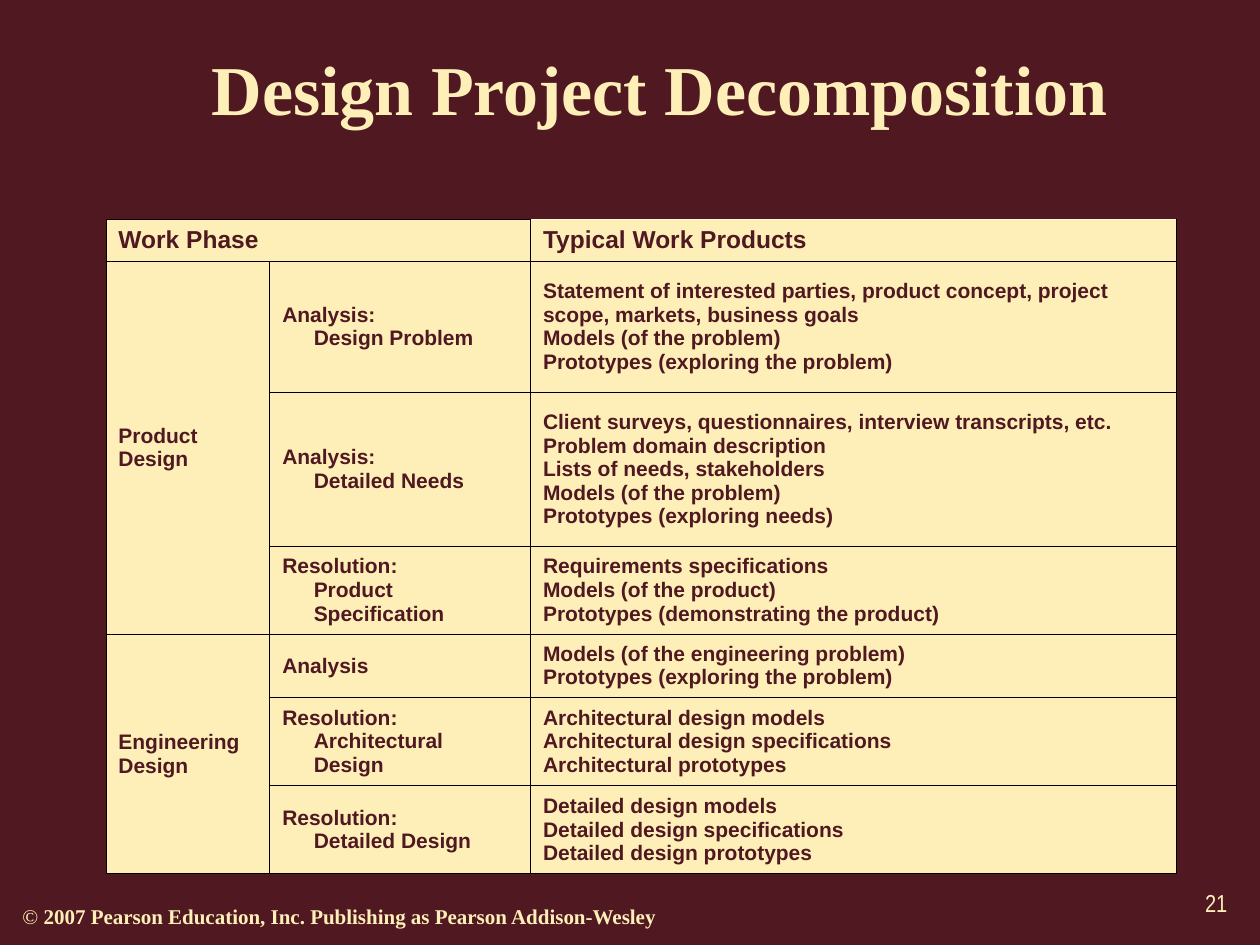
"""Build the Design Project Decomposition slide."""
from copy import deepcopy
from dataclasses import dataclass

from lxml import etree
from pptx import Presentation
from pptx.dml.color import RGBColor
from pptx.enum.text import MSO_ANCHOR, PP_ALIGN
from pptx.oxml.ns import qn
from pptx.util import Inches, Pt

LEFT, RIGHT = PP_ALIGN.LEFT, PP_ALIGN.RIGHT
MIDDLE, BOTTOM = MSO_ANCHOR.MIDDLE, MSO_ANCHOR.BOTTOM
TITLE_ONLY = 5
SIDES = ("lnL", "lnR", "lnT", "lnB")


@dataclass(frozen=True)
class Theme:
    maroon: str = "501821"
    cream: str = "FEEFB8"
    pale: str = "FEFBDA"
    black: str = "000000"
    serif: str = "Times New Roman"
    sans: str = "Arial"
    narrow: str = "Arial Narrow"
    title_size: int = 40
    header_size: int = 14
    body_size: int = 12
    number_size: int = 14
    border: float = 0.45
    indent: float = 0.25


class SlideBuilder:
    def __init__(self, presentation, theme):
        self.theme = theme
        self.slide = presentation.slides.add_slide(presentation.slide_layouts[TITLE_ONLY])
        fill = self.slide.background.fill
        fill.solid()
        fill.fore_color.rgb = RGBColor.from_string(theme.maroon)

    def place(self, shape, box):
        for name, value in zip(("left", "top", "width", "height"), box):
            setattr(shape, name, Inches(value))

    def add_lines(self, paragraph, text, name, size, color, bold=True):
        values = {"name": name, "size": Pt(size), "bold": bold}
        for index, line in enumerate(text.split("\n")):
            if index:
                paragraph.add_line_break()
            run = paragraph.add_run()
            run.text = line
            for key, value in values.items():
                setattr(run.font, key, value)
            run.font.color.rgb = RGBColor.from_string(color)
        for line_break in paragraph._p.findall(qn("a:br")):
            line_break.append(deepcopy(run._r.get_or_add_rPr()))

    def frame(self, shape, align):
        frame = shape.text_frame
        values = {"word_wrap": True, "vertical_anchor": BOTTOM,
                  "margin_left": Inches(0.1), "margin_right": Inches(0.1),
                  "margin_top": Inches(0.05), "margin_bottom": Inches(0.05)}
        for key, value in values.items():
            setattr(frame, key, value)
        paragraph = frame.paragraphs[0]
        paragraph.alignment = align
        return paragraph

    def title(self, box, text):
        shape = self.slide.shapes.title
        self.place(shape, box)
        theme = self.theme
        self.add_lines(self.frame(shape, LEFT), text, theme.serif, theme.title_size, theme.cream)

    def text(self, box, runs, name, size, align=LEFT):
        shape = self.slide.shapes.add_textbox(*map(Inches, box))
        paragraph = self.frame(shape, align)
        for text, bold in runs:
            self.add_lines(paragraph, text, name, size, self.theme.cream, bold)

    def border(self, cell, colors):
        properties = cell._tc.get_or_add_tcPr()
        for index, (side, color) in enumerate(zip(SIDES, colors)):
            line = etree.Element(qn(f"a:{side}"), w=str(Pt(self.theme.border)))
            fill = etree.SubElement(line, qn("a:solidFill"))
            etree.SubElement(fill, qn("a:srgbClr"), val=color)
            properties.insert(index, line)

    def cell(self, cell, text, size, hanging, top):
        theme = self.theme
        cell.fill.solid()
        cell.fill.fore_color.rgb = RGBColor.from_string(theme.cream)
        self.border(cell, (theme.black, theme.black, top, theme.black))
        cell.vertical_anchor = MIDDLE
        if text:
            paragraph = cell.text_frame.paragraphs[0]
            if hanging:
                indent = Inches(theme.indent)
                properties = paragraph._p.get_or_add_pPr()
                properties.set("marL", str(indent))
                properties.set("indent", str(-indent))
            self.add_lines(paragraph, text, theme.sans, size, theme.maroon)

    def table(self, box, widths, heights, rows, merges):
        theme = self.theme
        shape = self.slide.shapes.add_table(len(rows), len(widths), *map(Inches, box))
        table = shape.table
        table.first_row = table.horz_banding = False
        for column, width in zip(table.columns, widths):
            column.width = Inches(width)
        for row, height in zip(table.rows, heights):
            row.height = Inches(height)
        for row, texts in enumerate(rows):
            header = row == 0
            size = theme.header_size if header else theme.body_size
            for column, text in enumerate(texts):
                top = theme.pale if header and column == 2 else theme.black
                self.cell(table.cell(row, column), text, size, header or column == 1, top)
        for start, end in merges:
            table.cell(*start).merge(table.cell(*end))


ROWS = [
    ("Work Phase", "", "Typical Work Products"),
    ("Product Design", "Analysis:\nDesign Problem",
     "Statement of interested parties, product concept, project scope, markets, business goals\n"
     "Models (of the problem)\nPrototypes (exploring the problem)"),
    ("", "Analysis:\nDetailed Needs",
     "Client surveys, questionnaires, interview transcripts, etc.\nProblem domain description\n"
     "Lists of needs, stakeholders\nModels (of the problem)\nPrototypes (exploring needs)"),
    ("", "Resolution:\nProduct Speciﬁcation",
     "Requirements speciﬁcations\nModels (of the product)\n"
     "Prototypes (demonstrating the product)"),
    ("Engineering Design", "Analysis",
     "Models (of the engineering problem)\nPrototypes (exploring the problem)"),
    ("", "Resolution: Architectural Design",
     "Architectural design models\nArchitectural design speciﬁcations\nArchitectural prototypes"),
    ("", "Resolution:\nDetailed Design",
     "Detailed design models\nDetailed design speciﬁcations\nDetailed design prototypes"),
]
MERGES = [((0, 0), (0, 1)), ((1, 0), (3, 0)), ((4, 0), (6, 0))]


def main():
    presentation = Presentation()
    presentation.slide_width, presentation.slide_height = Inches(10), Inches(7.5)
    theme = Theme()
    builder = SlideBuilder(presentation, theme)
    builder.text((0.08, 7.17, 5.42, 0.25),
                 [("© ", False),
                  ("2007 Pearson Education, Inc. Publishing as Pearson Addison-Wesley", True)],
                 theme.serif, theme.body_size)
    builder.text((7.76, 7, 2.08, 0.33), [("21", False)], theme.narrow, theme.number_size, RIGHT)
    builder.title((1.58, 0.33, 7.83, 0.75), "Design Project Decomposition")
    builder.table((0.84, 1.74, 8.5, 5.2), (1.3, 2.07, 5.13),
                  (0.33, 1.04, 1.22, 0.7, 0.5, 0.7, 0.7), ROWS, MERGES)
    presentation.save("out.pptx")


if __name__ == "__main__":
    main()
